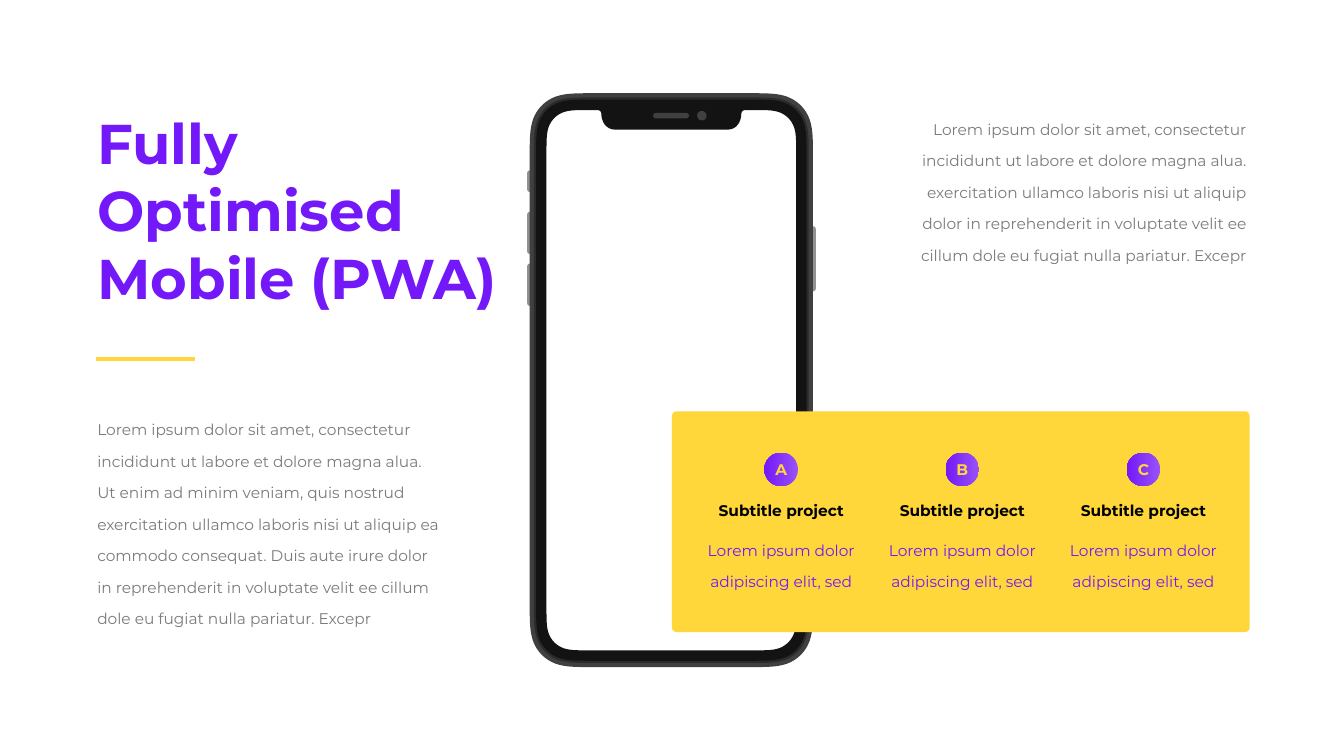
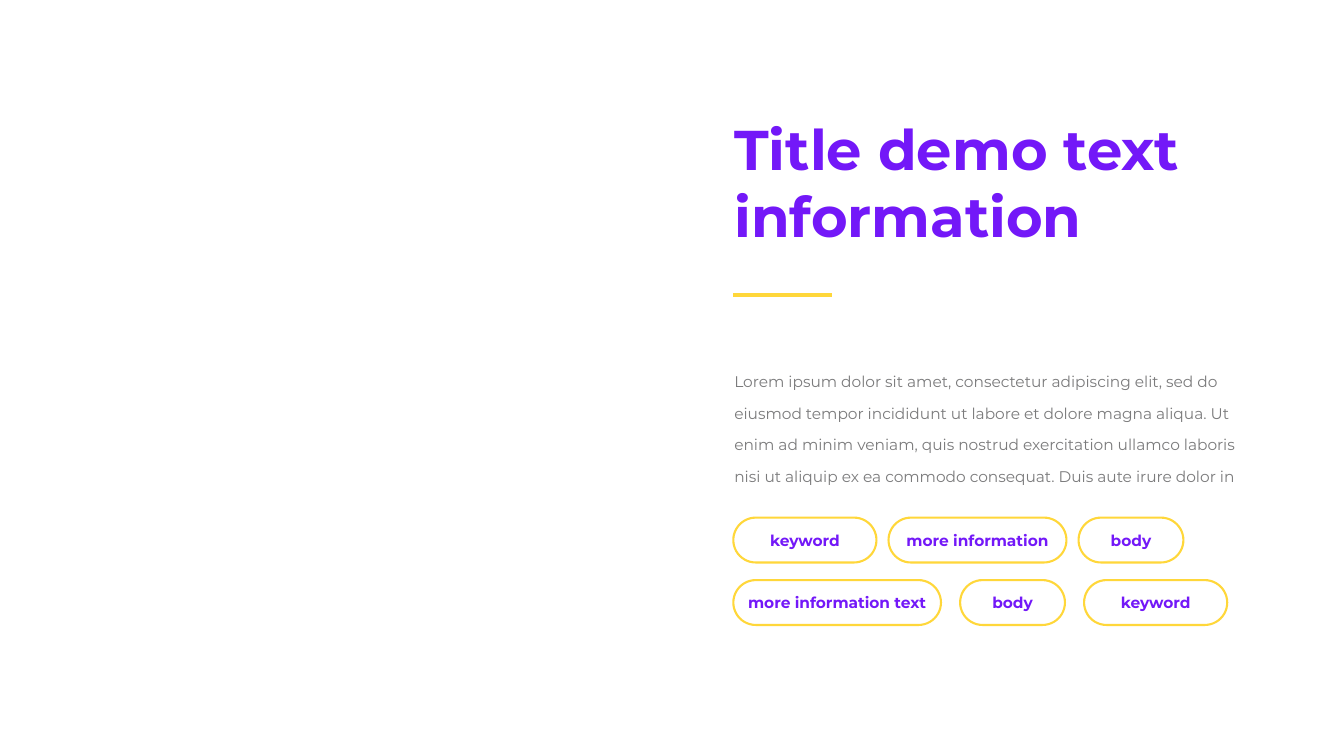
from dataclasses import dataclass
from typing import NamedTuple

from pptx import Presentation
from pptx.dml.color import RGBColor
from pptx.enum.shapes import MSO_CONNECTOR, MSO_SHAPE
from pptx.enum.text import MSO_ANCHOR, MSO_AUTO_SIZE, PP_ALIGN
from pptx.oxml.ns import qn
from pptx.util import Emu, Inches, Pt

# The slide is a grid of 80 columns by 45 rows of square cells
COLUMNS, ROWS = 80, 45
CELL = Inches(1) / 3
DRAWING_STEPS = 1000  # freeform units per cell


@dataclass(frozen=True)
class Theme:
    font: str = "Montserrat"
    purple: str = "7318F8"
    light_purple: str = "9852F8"
    yellow: str = "FFD73A"
    grey: str = "7B7B7C"
    black: str = "000000"
    phone_frame: str = "414041"
    phone_edge: str = "2C2B2C"
    phone_bezel: str = "131313"
    phone_button: str = "919191"
    title_size: int = 80
    text_size: int = 22
    line_spacing: int = 45
    rule_width: int = 6
    outline_width: int = 3


THEME = Theme()


class Box(NamedTuple):
    """A rectangle in grid cells."""
    left: float
    top: float
    width: float
    height: float

    def inset(self, margin: float) -> "Box":
        return Box(self.left + margin, self.top + margin,
                   self.width - 2 * margin, self.height - 2 * margin)


class Feature(NamedTuple):
    letter: str
    subtitle: str
    description: str


class Ring(NamedTuple):
    outer: float
    inner: float
    color: str


class PillRow(NamedTuple):
    top: float
    gap: float
    pills: list


def cells(value: float) -> Emu:
    return Emu(round(value * CELL))


def place(box: Box) -> list:
    return [cells(value) for value in box]


def rgb(color: str) -> RGBColor:
    return RGBColor.from_string(color)


# Text and shapes
def write(frame, text: str, *, size: int = THEME.text_size, color: str = THEME.grey,
          bold: bool = False, align=PP_ALIGN.LEFT, spacing: int | None = None) -> None:
    paragraph = frame.paragraphs[0]
    paragraph.alignment = align
    if spacing:
        paragraph.line_spacing = Pt(spacing)
    run = paragraph.add_run()
    run.text = text
    run.font.name = THEME.font
    run.font.size = Pt(size)
    run.font.bold = bold
    run.font.color.rgb = rgb(color)


def add_text(slide, box: Box, text: str, **text_format) -> None:
    frame = slide.shapes.add_textbox(*place(box)).text_frame
    frame.word_wrap = True
    frame.auto_size = MSO_AUTO_SIZE.SHAPE_TO_FIT_TEXT
    frame.margin_left = frame.margin_right = Inches(0.05)
    frame.margin_top = frame.margin_bottom = Inches(0.05)
    write(frame, text, **text_format)


def add_body(slide, box: Box, text: str, **text_format) -> None:
    add_text(slide, box, text, spacing=THEME.line_spacing, **text_format)


def paint(shape, fill: str | None, line: str | None = None) -> None:
    shape.shadow.inherit = False
    if fill:
        shape.fill.solid()
        shape.fill.fore_color.rgb = rgb(fill)
    else:
        shape.fill.background()
    if line:
        shape.line.color.rgb = rgb(line)
        shape.line.width = Pt(THEME.outline_width)
    else:
        shape.line.fill.background()


def add_shape(slide, kind, box: Box, fill: str | None = None,
              line: str | None = None, rounding: float | None = None):
    shape = slide.shapes.add_shape(kind, *place(box))
    paint(shape, fill, line)
    if rounding is not None:
        shape.adjustments[0] = rounding
    return shape


def label(shape, text: str, color: str) -> None:
    frame = shape.text_frame
    frame.word_wrap = False
    frame.vertical_anchor = MSO_ANCHOR.MIDDLE
    frame.margin_left = frame.margin_right = 0
    frame.margin_top = frame.margin_bottom = 0
    write(frame, text, color=color, bold=True, align=PP_ALIGN.CENTER)


def add_heading(slide, box: Box, text: str, rule_top: float) -> None:
    """A large title with a short yellow rule below."""
    add_text(slide, box, text, size=THEME.title_size, color=THEME.purple, bold=True)
    start = box.left + 0.09
    rule = slide.shapes.add_connector(
        MSO_CONNECTOR.STRAIGHT, cells(start), cells(rule_top),
        cells(start + 5.9), cells(rule_top))
    rule.line.color.rgb = rgb(THEME.yellow)
    rule.line.width = Pt(THEME.rule_width)
    properties = rule._element.spPr
    properties.append(properties.makeelement(qn("a:effectLst"), {}))


# Curves for the phone: each chain is a start point and three points per curve
CORNER = [(1, 0), (0.71, 0), (0.56, 0), (0.41, 0.05), (0.24, 0.11), (0.11, 0.24),
          (0.05, 0.41), (0, 0.56), (0, 0.71), (0, 1)]
# Half of the notch, as distances from the middle and the top of the screen
NOTCH = [(4.43, 0), (4.34, 0), (4.25, 0.03), (4.21, 0.09), (4.16, 0.18), (4.16, 0.27),
         (4.16, 0.33), (4.13, 0.66), (3.92, 1.17), (3.32, 1.17)]


def trace(chain: list, steps: int = 8) -> list:
    """Points along a chain of cubic curves."""
    points = [chain[0]]
    for first in range(0, len(chain) - 1, 3):
        controls = chain[first:first + 4]
        for step in range(1, steps + 1):
            t = step / steps
            weights = ((1 - t) ** 3, 3 * t * (1 - t) ** 2, 3 * t * t * (1 - t), t ** 3)
            points.append(tuple(sum(weight * control[axis] for weight, control
                                    in zip(weights, controls)) for axis in (0, 1)))
    return points


def rounded_outline(box: Box, radius: float, notch: bool = False) -> list:
    """Anticlockwise outline that starts at the top left corner."""
    corner = [(x * radius, y * radius) for x, y in trace(CORNER)]
    back = corner[::-1]
    right, bottom = box.left + box.width, box.top + box.height
    points = [(box.left + x, box.top + y) for x, y in corner]
    points += [(box.left + x, bottom - y) for x, y in back]
    points += [(right - x, bottom - y) for x, y in corner]
    points += [(right - x, box.top + y) for x, y in back]
    if notch:
        middle, half = box.left + box.width / 2, trace(NOTCH)
        points += [(middle + x, box.top + y) for x, y in half]
        points += [(middle - x, box.top + y) for x, y in half[::-1]]
    return points


def add_ring(slide, outlines: list, color: str) -> None:
    first, *holes = [[(x * DRAWING_STEPS, y * DRAWING_STEPS) for x, y in outline]
                     for outline in outlines]
    builder = slide.shapes.build_freeform(*first[0], scale=CELL / DRAWING_STEPS)
    builder.add_line_segments(first[1:], close=True)
    for hole in holes:
        builder.move_to(*hole[0])
        builder.add_line_segments(hole[1:], close=True)
    paint(builder.convert_to_shape(), color)


def add_phone(slide, body: Box) -> None:
    left = body.left - 0.15
    right = body.left + body.width - 0.15
    for x, top, height in ((left, 10.14, 1.29), (left, 12.6, 2.52),
                           (left, 15.69, 2.52), (right, 13.47, 3.87)):
        add_shape(slide, MSO_SHAPE.ROUNDED_RECTANGLE, Box(x, top, 0.32, height),
                  THEME.phone_button, rounding=0.5)
    for ring in (Ring(0, 0.66, THEME.phone_frame), Ring(0.25, 0.5, THEME.phone_edge),
                 Ring(0.38, 1, THEME.phone_bezel)):
        outlines = [rounded_outline(body.inset(margin), 3.84 - 1.35 * margin,
                                    notch=margin == 1)
                    for margin in (ring.outer, ring.inner)]
        add_ring(slide, outlines, ring.color)
    # Speaker and camera
    add_shape(slide, MSO_SHAPE.ROUNDED_RECTANGLE, Box(38.88, 6.72, 2.13, 0.33),
              THEME.phone_frame, rounding=0.5)
    add_shape(slide, MSO_SHAPE.OVAL, Box(41.49, 6.6, 0.57, 0.57), THEME.phone_frame)


def add_feature(slide, center: float, feature: Feature) -> None:
    add_body(slide, Box(center - 4.95, 31.26, 9.9, 3.84), feature.description,
             color=THEME.purple, align=PP_ALIGN.CENTER)
    add_text(slide, Box(center - 4.87, 29.7, 9.74, 1.41), feature.subtitle,
             color=THEME.black, bold=True, align=PP_ALIGN.CENTER)
    badge = add_shape(slide, MSO_SHAPE.OVAL, Box(center - 1, 26.94, 2, 2))
    badge.fill.gradient()
    badge.fill.gradient_angle = 180
    for stop, color in zip(badge.fill.gradient_stops, (THEME.light_purple, THEME.purple)):
        stop.color.rgb = rgb(color)
    label(badge, feature.letter, THEME.yellow)


def add_pills(slide, left: float, row: PillRow) -> None:
    for text, width in row.pills:
        pill = add_shape(slide, MSO_SHAPE.ROUNDED_RECTANGLE,
                         Box(left, row.top, width, 2.67), line=THEME.yellow, rounding=0.5)
        label(pill, text, THEME.purple)
        left += width + row.gap


# Slides
def build_mobile_slide(slide) -> None:
    add_phone(slide, Box(31.53, 5.55, 16.86, 34.16))
    add_heading(slide, Box(5.64, 6.33, 24.6, 12.42), "Fully Optimised Mobile (PWA)", 21.36)
    add_body(slide, Box(5.64, 24.09, 20.67, 13.32),
             "Lorem ipsum dolor sit amet, consectetur incididunt ut labore et dolore "
             "magna alua. Ut enim ad minim veniam, quis nostrud exercitation ullamco "
             "laboris nisi ut aliquip ea commodo consequat. Duis aute irure dolor in "
             "reprehenderit in voluptate velit ee cillum dole eu fugiat nulla "
             "pariatur. Excepr")
    add_shape(slide, MSO_SHAPE.ROUNDED_RECTANGLE, Box(40, 24.48, 34.38, 13.14),
              THEME.yellow, rounding=0.02)
    for index, letter in enumerate("ABC"):
        add_feature(slide, 46.5 + 10.78 * index,
                    Feature(letter, "Subtitle project", "Lorem ipsum dolor adipiscing elit, sed"))
    add_body(slide, Box(53.67, 6.21, 20.67, 9.51),
             "Lorem ipsum dolor sit amet, consectetur incididunt ut labore et dolore "
             "magna alua. exercitation ullamco laboris nisi ut aliquip dolor in "
             "reprehenderit in voluptate velit ee cillum dole eu fugiat nulla "
             "pariatur. Excepr", align=PP_ALIGN.RIGHT)


def build_keyword_slide(slide) -> None:
    add_body(slide, Box(43.56, 21.24, 30.81, 7.62),
             "Lorem ipsum dolor sit amet, consectetur adipiscing elit, sed do eiusmod "
             "tempor incididunt ut labore et dolore magna aliqua. Ut enim ad minim "
             "veniam, quis nostrud exercitation ullamco laboris nisi ut aliquip ex ea "
             "commodo consequat. Duis aute irure dolor in")
    add_heading(slide, Box(43.56, 6.66, 29.49, 8.37), "Title demo text information", 17.55)
    keyword, body = ("keyword", 8.52), ("body", 6.24)
    for row in (PillRow(30.81, 0.72, [keyword, ("more information", 10.59), body]),
                PillRow(34.53, 1.14, [("more information text", 12.36), body, keyword])):
        add_pills(slide, 43.65, row)


presentation = Presentation()
presentation.slide_width = cells(COLUMNS)
presentation.slide_height = cells(ROWS)
for build in (build_mobile_slide, build_keyword_slide):
    build(presentation.slides.add_slide(presentation.slide_layouts[6]))
presentation.save("out.pptx")
